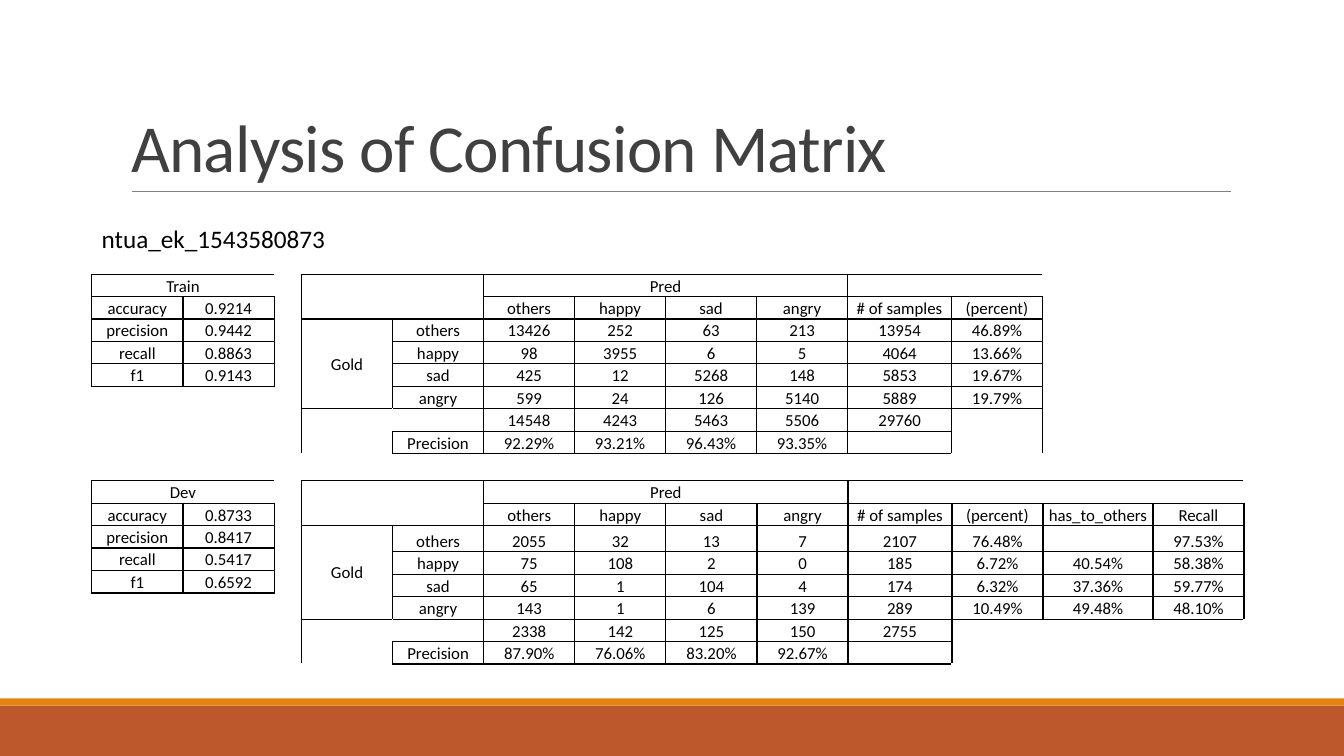
from itertools import product

from lxml.etree import SubElement
from pptx import Presentation
from pptx.dml.color import RGBColor
from pptx.enum.shapes import MSO_CONNECTOR as Connector, MSO_SHAPE as Preset
from pptx.enum.text import MSO_ANCHOR as Anchor, PP_ALIGN as Align
from pptx.oxml.ns import qn
from pptx.util import Inches, Pt

WIDTH, HEIGHT = 13.33, 7.5
COLORS = {"rust": "BD582C", "orange": "E48312", "rule": "808080",
          "title": "404040", "ink": "000000"}
FONT = "Calibri"
CELL_SIZE = 12
ROW = 0.2225
LEFT_SCORES, LEFT_MATRIX = 0.91, 2.99
TRAIN_TOP, DEV_TOP = 2.72, 4.77
EDGES = ("L", "R", "T", "B")
CELL_FORMAT = {"margin_left": Inches(0.01), "margin_right": Inches(0.01),
               "margin_top": Inches(0.01), "margin_bottom": 0,
               "vertical_anchor": Anchor.BOTTOM}

METRICS = ("accuracy", "precision", "recall", "f1")
TRAIN_SCORES = ("0.9214", "0.9442", "0.8863", "0.9143")
DEV_SCORES = ("0.8733", "0.8417", "0.5417", "0.6592")
MOODS = ["others", "happy", "sad", "angry"]
TRAIN_COUNTS = [
    ["13426", "252", "63", "213", "13954", "46.89%"],
    ["98", "3955", "6", "5", "4064", "13.66%"],
    ["425", "12", "5268", "148", "5853", "19.67%"],
    ["599", "24", "126", "5140", "5889", "19.79%"],
]
TRAIN_TOTALS = ["14548", "4243", "5463", "5506", "29760"]
TRAIN_PRECISION = ["92.29%", "93.21%", "96.43%", "93.35%"]
DEV_COUNTS = [
    ["2055", "32", "13", "7", "2107", "76.48%", "", "97.53%"],
    ["75", "108", "2", "0", "185", "6.72%", "40.54%", "58.38%"],
    ["65", "1", "104", "4", "174", "6.32%", "37.36%", "59.77%"],
    ["143", "1", "6", "139", "289", "10.49%", "49.48%", "48.10%"],
]
DEV_TOTALS = ["2338", "142", "125", "150", "2755"]
DEV_PRECISION = ["87.90%", "76.06%", "83.20%", "92.67%"]


def color(name):
    return RGBColor.from_string(COLORS[name])


def apply(target, values):
    for name, value in values.items():
        setattr(target, name, value)


def write(para, text, size, ink):
    span = para.add_run()
    span.text = text
    apply(span.font, {"name": FONT, "size": Pt(size)})
    span.font.color.rgb = color(ink)
    return span


def add_title(page, text):
    title = page.shapes.title
    apply(title, {"left": Inches(1.2), "top": Inches(0.31),
                  "width": Inches(11), "height": Inches(1.59)})
    apply(title.text_frame, {"vertical_anchor": Anchor.BOTTOM, "word_wrap": True})
    para = title.text_frame.paragraphs[0]
    apply(para, {"alignment": Align.LEFT, "line_spacing": 0.85})
    span = write(para, text, 48, "title")
    span.font._element.set("spc", "-50")


def add_band(page, top, height, fill):
    band = page.shapes.add_shape(Preset.RECTANGLE, 0, Inches(top),
                                 Inches(WIDTH), Inches(height))
    band.shadow.inherit = False
    band.fill.solid()
    band.fill.fore_color.rgb = color(fill)
    band.line.fill.background()


def add_rule(page, left, right, top):
    rule = page.shapes.add_connector(Connector.STRAIGHT, Inches(left), Inches(top),
                                     Inches(right), Inches(top))
    rule.line.width = Pt(0.5)
    rule.line.color.rgb = color("rule")
    SubElement(rule._element.spPr, qn("a:effectLst"))


def add_label(page, text):
    box = page.shapes.add_textbox(Inches(0.91), Inches(2.17), Inches(2.44), Inches(0.4))
    box.text_frame.word_wrap = False
    write(box.text_frame.paragraphs[0], text, 18, "ink")


def inner_edges(spans):
    edges = set()
    for top, left, bottom, right in spans:
        for row, col in product(range(top, bottom + 1), range(left, right + 1)):
            hidden = {"L": col > left, "R": col < right, "T": row > top, "B": row < bottom}
            edges |= {(row, col, edge) for edge in EDGES if hidden[edge]}
    return edges


def draw_border(cell, edge):
    line = SubElement(cell._tc.get_or_add_tcPr(), qn(f"a:ln{edge}"), w=str(Pt(1)))
    fill = SubElement(line, qn("a:solidFill"))
    SubElement(fill, qn("a:srgbClr"), val=COLORS["ink"])


def fill_cell(cell, text, edges):
    apply(cell, CELL_FORMAT)
    for edge in edges:
        draw_border(cell, edge)
    cell.fill.background()
    para = cell.text_frame.paragraphs[0]
    para.alignment = Align.CENTER
    if text:
        write(para, text, CELL_SIZE, "ink")
    else:
        SubElement(para._p, qn("a:endParaRPr"), sz=str(CELL_SIZE * 100))


def add_grid(page, left, top, width, rows, spans, wide_cols=None, tall_rows=None,
             open_edges=frozenset()):
    wide_cols, tall_rows = wide_cols or {}, tall_rows or {}
    cols = max(map(len, rows))
    share = (width - sum(wide_cols.values())) / (cols - len(wide_cols))
    heights = [tall_rows.get(index, ROW) for index in range(len(rows))]
    frame = page.shapes.add_table(len(rows), cols, Inches(left), Inches(top),
                                  Inches(width), Inches(sum(heights)))
    table = frame.table
    apply(table, {"first_row": False, "horz_banding": False})
    for index, column in enumerate(table.columns):
        column.width = Inches(wide_cols.get(index, share))
    for line, height in zip(table.rows, heights):
        line.height = Inches(height)
    skipped = inner_edges(spans) | open_edges
    for row, col in product(range(len(rows)), range(cols)):
        text = rows[row][col] if col < len(rows[row]) else ""
        edges = [edge for edge in EDGES if (row, col, edge) not in skipped]
        fill_cell(table.cell(row, col), text, edges)
    for first_row, first_col, last_row, last_col in spans:
        table.cell(first_row, first_col).merge(table.cell(last_row, last_col))
    return table


def add_scores(page, top, name, scores):
    rows = [[name]] + [list(pair) for pair in zip(METRICS, scores)]
    add_grid(page, LEFT_SCORES, top, 1.81, rows, [(0, 0, 0, 1)])


def add_matrix(page, top, width, extras, counts, totals, precision, wide_cols,
               tall_rows=None):
    rows = [["", "", "Pred"], ["", ""] + MOODS + extras]
    rows += [["" if index else "Gold", mood] + values
             for index, (mood, values) in enumerate(zip(MOODS, counts))]
    rows += [["", ""] + totals, ["", "Precision"] + precision]
    last = len(rows[1]) - 1
    spans = [(0, 0, 1, 1), (0, 2, 0, 5), (0, 6, 0, last),
             (2, 0, 5, 0), (6, 0, 7, 0), (6, 7, 7, last)]
    table = add_grid(page, LEFT_MATRIX, top, width, rows, spans, wide_cols, tall_rows,
                     {(6, 0, "R"), (6, 1, "L")})
    table.cell(2, 0).vertical_anchor = Anchor.MIDDLE


def main():
    deck = Presentation()
    apply(deck, {"slide_width": Inches(WIDTH), "slide_height": Inches(HEIGHT)})
    page = deck.slides.add_slide(deck.slide_layouts[5])
    add_band(page, 7, 0.5, "rust")
    add_band(page, 6.93, 0.07, "orange")
    add_rule(page, 1.31, 12.21, 1.9)
    add_title(page, "Analysis of Confusion Matrix")
    add_label(page, "ntua_ek_1543580873")
    add_scores(page, TRAIN_TOP, "Train", TRAIN_SCORES)
    add_scores(page, DEV_TOP, "Dev", DEV_SCORES)
    extras = ["# of samples", "(percent)"]
    add_matrix(page, TRAIN_TOP, 7.35, extras, TRAIN_COUNTS, TRAIN_TOTALS,
               TRAIN_PRECISION, {6: 1.03})
    add_matrix(page, DEV_TOP, 9.35, extras + ["has_to_others", "Recall"], DEV_COUNTS,
               DEV_TOTALS, DEV_PRECISION, {6: 1.03, 8: 1.09}, {2: 0.26})
    deck.save("out.pptx")


if __name__ == "__main__":
    main()
